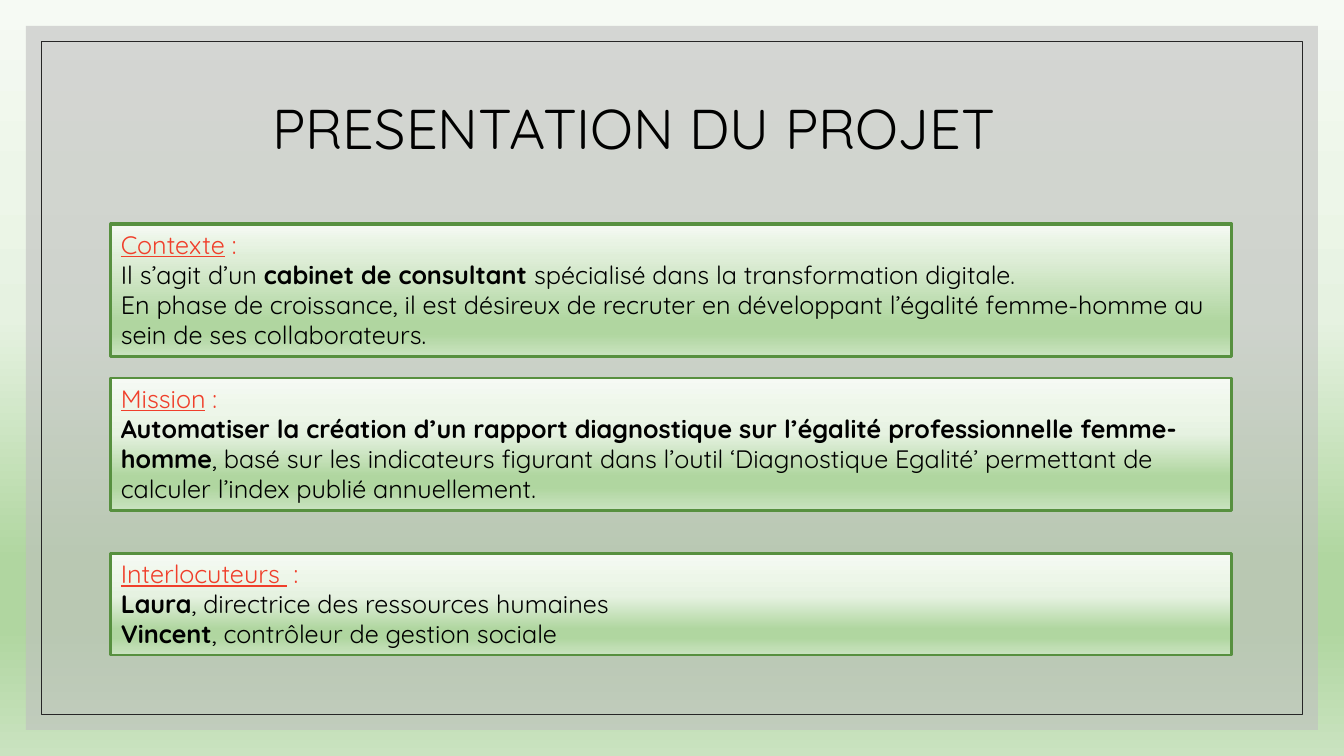
from dataclasses import dataclass

from lxml.etree import SubElement
from pptx import Presentation
from pptx.dml.color import RGBColor
from pptx.enum.shapes import MSO_SHAPE
from pptx.enum.text import MSO_ANCHOR, MSO_AUTO_SIZE, PP_ALIGN
from pptx.oxml.ns import qn
from pptx.util import Pt

SLIDE_W, SLIDE_H = 960, 540


@dataclass(frozen=True)
class Theme:
    font: str = "Quicksand"
    title_size: int = 40
    body_size: int = 18
    text: str = "000000"
    heading: str = "F03F2B"
    panel: str = "BFBFBF"
    frame: str = "262626"
    border: str = "57903F"
    fade: tuple = ((0, "F6FAF4"), (24, "EDF6E9"), (42, "E6F2E1"),
                   (74, "B0D6A0"), (83, "B0D6A0"), (100, "CAE3C0"))
    early_fade: tuple = ((0, "F6FAF4"), (15, "E8F3E3"), (25, "DFEED8"),
                         (74, "B0D6A0"), (83, "B0D6A0"), (100, "CAE3C0"))


class Deck:
    def __init__(self, theme):
        self.theme = theme
        self.prs = Presentation()
        self.prs.slide_width, self.prs.slide_height = Pt(SLIDE_W), Pt(SLIDE_H)
        self.s = self.prs.slides.add_slide(self.prs.slide_layouts[5])

    def gradient(self, fill, element, stops):
        """Fill top to bottom; element is the XML that holds the fill."""
        fill.gradient()
        fill.gradient_angle = 270
        gs_list = element.find(".//" + qn("a:gsLst"))
        for gs in list(gs_list):
            gs_list.remove(gs)
        for position, color in stops:
            gs = SubElement(gs_list, qn("a:gs"), pos=str(position * 1000))
            SubElement(gs, qn("a:srgbClr"), val=color)

    def background(self):
        self.gradient(self.s.background.fill, self.s.element, self.theme.fade)

    def rect(self, x, y, w, h, line=None, line_width=0):
        sp = self.s.shapes.add_shape(MSO_SHAPE.RECTANGLE, Pt(x), Pt(y), Pt(w), Pt(h))
        sp.shadow.inherit = False
        sp.fill.background()
        if line:
            sp.line.color.rgb = RGBColor.from_string(line)
            sp.line.width = Pt(line_width)
        else:
            sp.line.fill.background()
        return sp

    def inset_rect(self, margin, **line):
        return self.rect(margin, margin, SLIDE_W - 2 * margin, SLIDE_H - 2 * margin, **line)

    def panel(self, margin, opacity):
        sp = self.inset_rect(margin)
        sp.fill.solid()
        sp.fill.fore_color.rgb = RGBColor.from_string(self.theme.panel)
        color = sp.element.spPr.find(".//" + qn("a:srgbClr"))
        SubElement(color, qn("a:alpha"), val=str(opacity * 1000))

    def run(self, p, text, size, color, bold=False, underline=False):
        r = p.add_run()
        r.text = text
        r.font.name, r.font.size = self.theme.font, Pt(size)
        r.font.color.rgb = RGBColor.from_string(color)
        r.font.bold, r.font.underline = bold, underline

    def title(self, text, x, y, w, h):
        sp = self.s.shapes.title
        sp.element.getparent().append(sp.element)  # bring above the panel
        sp.left, sp.top, sp.width, sp.height = Pt(x), Pt(y), Pt(w), Pt(h)
        tf = sp.text_frame
        tf.vertical_anchor = MSO_ANCHOR.MIDDLE
        p = tf.paragraphs[0]
        p.alignment, p.line_spacing = PP_ALIGN.LEFT, 0.9
        self.run(p, text, self.theme.title_size, self.theme.text)

    def card(self, y, h, heading, lines, stops, line_width=2):
        """Each line is a list of (text, bold) pairs."""
        t = self.theme
        sp = self.rect(79.2, y, 800.6, h, t.border, line_width)
        self.gradient(sp.fill, sp.element.spPr, stops)
        tf = sp.text_frame
        tf.word_wrap = True
        tf.auto_size = MSO_AUTO_SIZE.SHAPE_TO_FIT_TEXT
        tf.vertical_anchor = MSO_ANCHOR.TOP
        p = tf.paragraphs[0]
        p.alignment = PP_ALIGN.LEFT
        self.run(p, heading, t.body_size, t.heading, underline=True)
        self.run(p, " :", t.body_size, t.heading)
        for line in lines:
            p = tf.add_paragraph()
            p.alignment = PP_ALIGN.LEFT
            for text, bold in line:
                self.run(p, text, t.body_size, t.text, bold)


def main():
    theme = Theme()
    deck = Deck(theme)
    deck.background()
    deck.panel(18.6, opacity=60)
    deck.inset_rect(29.5, line=theme.frame, line_width=0.5)
    deck.title("PRESENTATION DU PROJET", 187.2, 64, 792, 59)
    deck.card(160, 94.5, "Contexte", [
        [("Il s’agit d’un ", False), ("cabinet de consultant ", True),
         ("spécialisé dans la transformation digitale.", False)],
        [("En phase de croissance, il est désireux de recruter en développant "
          "l’égalité femme-homme au sein de ses collaborateurs.", False)],
    ], theme.early_fade, line_width=2.25)
    deck.card(270, 94.5, "Mission", [
        [("Automatiser la création d’un rapport diagnostique sur l’égalité "
          "professionnelle femme-homme", True),
         (", basé sur les indicateurs figurant dans l’outil ‘Diagnostique Egalité’ "
          "permettant de calculer l’index publié annuellement.", False)],
    ], theme.fade)
    deck.card(395.2, 72.7, "Interlocuteurs ", [
        [("Laura", True), (", directrice des ressources humaines", False)],
        [("Vincent", True), (", contrôleur de gestion sociale", False)],
    ], theme.fade)
    deck.prs.save("out.pptx")


if __name__ == "__main__":
    main()
